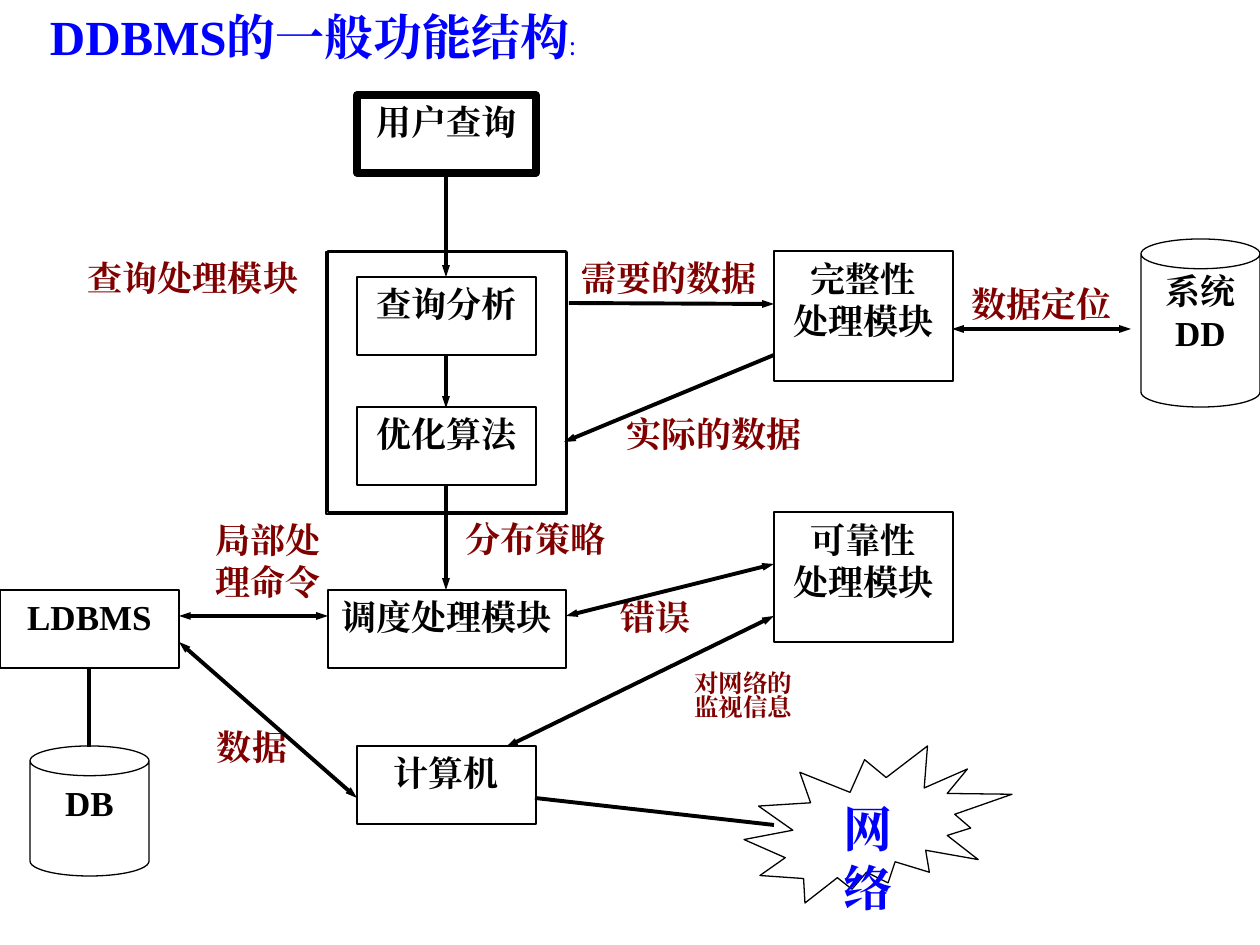
from dataclasses import dataclass
from typing import Optional

from lxml.etree import SubElement
from pptx import Presentation
from pptx.dml.color import RGBColor
from pptx.enum.shapes import MSO_CONNECTOR as Connector, MSO_SHAPE as Shape
from pptx.enum.text import MSO_ANCHOR as Anchor, PP_ALIGN as Align
from pptx.oxml.ns import qn
from pptx.util import Emu, Pt

PX = 914400 / 126
BLACK = RGBColor(0x00, 0x00, 0x00)
WHITE = RGBColor(0xFF, 0xFF, 0xFF)
BLUE = RGBColor(0x00, 0x00, 0xFF)
MAROON = RGBColor(0x80, 0x00, 0x00)
SERIF = "Times New Roman"
SANS = "Noto Sans CJK SC"


@dataclass(frozen=True)
class Node:
    lines: tuple[str, ...]
    left: int
    top: int
    width: int = 179
    height: int = 78
    kind: Shape = Shape.RECTANGLE
    border: float = 0.75
    size: int = 20
    color: RGBColor = BLACK
    inset_top: int = 6
    filled: bool = True


@dataclass(frozen=True)
class Label:
    lines: tuple[str, ...]
    left: int
    top: int
    width: int
    height: int = 78
    size: int = 20
    spacing: Optional[float] = None


@dataclass(frozen=True)
class Link:
    x1: int
    y1: int
    x2: int
    y2: int
    head: bool = False
    tail: bool = True


NODES = (
    Node(("用户查询",), 357, 95, kind=Shape.FLOWCHART_PROCESS, border=4.11),
    Node(("查询分析",), 357, 277),
    Node(("优化算法",), 357, 407),
    Node(("完整性", "处理模块"), 774, 251, height=130),
    Node(("调度处理模块",), 328, 590, width=238),
    Node(("LDBMS",), 0, 590),
    Node(("计算机",), 357, 746),
    Node(("可靠性", "处理模块"), 774, 512, height=130),
    Node(("DB",), 30, 746, 119, 130, Shape.CAN),
    Node(("系统", "DD"), 1141, 239, 119, 168, Shape.CAN, inset_top=1),
    Node(("网络",), 744, 746, 268, 157, Shape.EXPLOSION2, size=28, color=BLUE),
    Node((), 328, 251, 238, 261, filled=False),
)
OUTER_FRAME = Node((), 326, 252, 241, 262, filled=False)

LABELS = (
    Label(("查询处理模块",), 59, 251, 268),
    Label(("分布策略",), 446, 512, 179),
    Label(("错误",), 566, 590, 179),
    Label(("对网络的", "监视信息"), 595, 668, 297, size=14, spacing=0.8),
    Label(("数据",), 118, 720, 268),
    Label(("局部处", "理命令"), 149, 512, 238, height=130),
    Label(("数据定位",), 952, 277, 179),
    Label(("实际的数据",), 595, 407, 238),
    Label(("需要的数据",), 535, 251, 268),
)

LINKS = (
    Link(569, 303, 774, 304),
    Link(774, 355, 564, 442),
    Link(952, 329, 1131, 329, head=True),
    Link(446, 485, 446, 590),
    Link(506, 747, 774, 616, head=True),
    Link(566, 616, 774, 564, head=True),
    Link(179, 616, 328, 616, head=True),
    Link(89, 669, 89, 747, tail=False),
    Link(179, 642, 357, 798, head=True),
    Link(535, 798, 774, 825, tail=False),
    Link(446, 173, 446, 277),
    Link(446, 355, 446, 408),
)


def px(value: int) -> Emu:
    return Emu(round(value * PX))


def add_run(para, text: str, size: int, color: RGBColor, bold: bool = True, face: str = SERIF) -> None:
    span = para.add_run()
    span.text = text
    font = span.font
    font.size, font.bold, font.name = Pt(size), bold, face
    font.color.rgb = color
    SubElement(span._r.get_or_add_rPr(), qn("a:ea")).set("typeface", SERIF)


def set_frame(frame, inset_top: int = 6) -> None:
    frame.word_wrap = True
    frame.vertical_anchor = Anchor.TOP
    frame.margin_left = frame.margin_right = px(13)
    frame.margin_top, frame.margin_bottom = px(inset_top), px(6)


def write_lines(frame, lines: tuple[str, ...], size: int, color: RGBColor,
                spacing: Optional[float] = None) -> None:
    for index, line in enumerate(lines):
        para = frame.paragraphs[0] if index == 0 else frame.add_paragraph()
        para.alignment = Align.CENTER
        if spacing:
            para.line_spacing = spacing
        add_run(para, line, size, color)


def add_node(page, node: Node) -> None:
    box = page.shapes.add_shape(node.kind, px(node.left), px(node.top), px(node.width), px(node.height))
    box.shadow.inherit = False
    if node.filled:
        box.fill.solid()
        box.fill.fore_color.rgb = WHITE
    else:
        box.fill.background()
    box.line.color.rgb = BLACK
    box.line.width = Pt(node.border)
    set_frame(box.text_frame, node.inset_top)
    write_lines(box.text_frame, node.lines, node.size, node.color)


def add_label(page, label: Label) -> None:
    box = page.shapes.add_textbox(px(label.left), px(label.top), px(label.width), px(label.height))
    set_frame(box.text_frame)
    write_lines(box.text_frame, label.lines, label.size, MAROON, label.spacing)


def add_link(page, link: Link) -> None:
    line = page.shapes.add_connector(Connector.STRAIGHT, px(link.x1), px(link.y1), px(link.x2), px(link.y2))
    line.line.color.rgb = BLACK
    line.line.width = Pt(2.25)
    outline = line.line._get_or_add_ln()
    for tag, wanted in (("a:headEnd", link.head), ("a:tailEnd", link.tail)):
        if wanted:
            end = SubElement(outline, qn(tag))
            for key, value in (("type", "triangle"), ("w", "sm"), ("len", "med")):
                end.set(key, value)
    SubElement(line._element.spPr, qn("a:effectLst"))


def add_title(page) -> None:
    box = page.shapes.add_textbox(0, 0, px(1260), px(72))
    set_frame(box.text_frame)
    para = box.text_frame.paragraphs[0]
    para._p.get_or_add_pPr().set("indent", str(px(37)))
    add_run(para, "DDBMS", 28, BLUE)
    add_run(para, "的一般功能结构", 28, BLUE, face=SANS)
    add_run(para, ":", 14, BLUE, bold=False, face=SANS)


def main() -> None:
    deck = Presentation()
    deck.slide_width, deck.slide_height = px(1260), px(945)
    page = deck.slides.add_slide(deck.slide_layouts[6])
    for node in NODES:
        add_node(page, node)
    for label in LABELS:
        add_label(page, label)
    for link in LINKS:
        add_link(page, link)
    add_node(page, OUTER_FRAME)
    add_title(page)
    deck.save("out.pptx")


if __name__ == "__main__":
    main()
